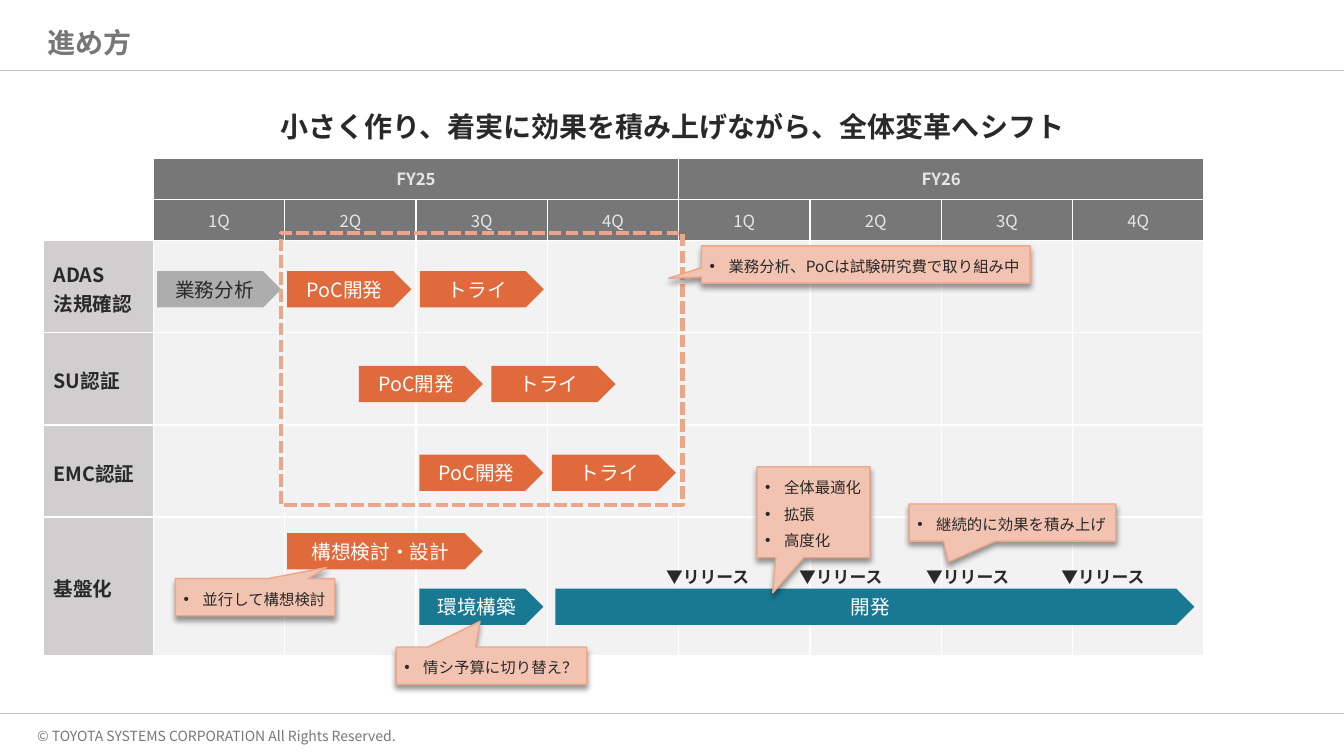
from lxml.etree import SubElement as Sub
from pptx import Presentation
from pptx.dml.color import RGBColor as Rgb
from pptx.enum.dml import MSO_LINE as Dash
from pptx.enum.shapes import MSO_CONNECTOR as Conn, MSO_SHAPE as Kind
from pptx.enum.text import MSO_ANCHOR as Anchor, MSO_AUTO_SIZE as Auto, PP_ALIGN as Align
from pptx.oxml.ns import qn
from pptx.util import Pt

FONT = "Noto Sans CJK JP"
INK = {
    "text": "292929", "gray": "777777", "rule": "BFBFBF", "white": "FFFFFF",
    "pale": "E7E6E6", "label": "D0CECE", "cell": "F2F2F2", "stone": "ADADAD",
    "orange": "E06A3B", "teal": "197993", "note": "F3C3B1", "edge": "ECA689",
    "shade": "000000",
}
WIDE, HIGH = 960, 540
BOARD = (31, 113, 829, 355)
HEAD, ROWS = 29.5, [29.5, 29.5, 65.8, 65.8, 65.8, 99.2]
SIDE, QUARTERS = 78.6, 8
LABELS = ["ADAS\v法規確認", "SU認証", "EMC認証", "基盤化"]
BAR = 88.6
BARS = [  # text, left, top, width, fill
    ("業務分析", 81.3, 80.7, BAR, "stone"),
    ("構想検討・設計", 174.2, 267.9, 139.7, "orange"),
    ("環境構築", 268.5, 307.5, BAR, "teal"),
    ("開発", 365.7, 307.5, 456.5, "teal"),
]
TRIALS = [(174.2, 80.7), (225.3, 148.4), (268.5, 211.7)]
RELEASES = [437.7, 532.8, 623.5, 720]
NOTES = [  # lines, left, top, width, height, tip
    (["並行して構想検討"], 94.3, 300.3, 113.8, 26.6, (0.45, -0.8)),
    (["全体最適化", "拡張", "高度化"], 509.7, 220.4, 80.6, 64.8, (-0.36, 0.89)),
    (["継続的に効果を積み上げ"], 618.4, 247, 147.6, 26.6, (-0.31, 1.06)),
    (["情シ予算に切り替え？"], 252, 349.2, 136.1, 26.6, (-0.06, -1.19)),
    (["業務分析、PoCは試験研究費で取り組み中"], 470.1, 62.7, 234.7, 26.6, (-0.6, 0.37)),
]


def rgb(name):
    return Rgb.from_string(INK[name])


def place(box):
    return [Pt(n) for n in box]


def style(para, size, color, bold=False):
    for run in para.runs:
        font = run.font
        font.size, font.bold, font.name = Pt(size), bold, FONT
        font.color.rgb = rgb(color)
        Sub(run._r.get_or_add_rPr(), qn("a:ea"), typeface=FONT)


def pad(item, left, top, right, bottom):
    item.margin_left, item.margin_top = Pt(left), Pt(top)
    item.margin_right, item.margin_bottom = Pt(right), Pt(bottom)


def write(slide, box, text, size, color, bold=False, wrap=False):
    """Add a text box and return its frame and paragraph."""
    frame = slide.shapes.add_textbox(*place(box)).text_frame
    frame.word_wrap = wrap
    para = frame.paragraphs[0]
    para.text = text
    style(para, size, color, bold)
    return frame, para


def shape(slide, kind, box, fill=None, edge=None, width=1):
    item = slide.shapes.add_shape(kind, *place(box))
    item.shadow.inherit = False
    if fill:
        item.fill.solid()
        item.fill.fore_color.rgb = rgb(fill)
    else:
        item.fill.background()
    if edge:
        item.line.color.rgb = rgb(edge)
        item.line.width = Pt(width)
    else:
        item.line.fill.background()
    return item


def frame_page(slide, box):
    """Draw the rules, title, lead and footer."""
    x, y, w, h = box
    for top in (50.4, 509.8):
        line = slide.shapes.add_connector(
            Conn.STRAIGHT, *place((x, y + top, x + w, y + top)))
        line.line.color.rgb = rgb("rule")
        line.line.width = Pt(1)
        Sub(line._element.spPr, qn("a:effectLst"))
    foot, _ = write(slide, (x + 26.6, y + 516.2, 287, 19.4),
                    "© TOYOTA SYSTEMS CORPORATION All Rights Reserved.", 10, "gray")
    pad(foot, 0, 3.6, 0, 3.6)
    title, para = write(slide, (x + 26.6, y + 16.6, 907, 29.5),
                        "進め方", 20, "gray", True, True)
    title.vertical_anchor = Anchor.MIDDLE
    para.line_spacing = 0.9
    _, para = write(slide, (x + 66.2, y + 67.7, 828, 60.5),
                    "小さく作り、着実に効果を積み上げながら、全体変革へシフト",
                    20, "text", True, True)
    para.alignment = Align.CENTER
    para.line_spacing = 1.3


def fill_cell(cell, text, fill, size=12, color="pale", bold=False, align=Align.CENTER):
    pad(cell, 7.2, 5.8, 7.2, 3.6)
    para = cell.text_frame.paragraphs[0]
    para.alignment = align
    if text:
        para.text = text
        style(para, size, color, bold)
    else:
        Sub(para._p, qn("a:endParaRPr"), sz="1200")
    if fill:
        cell.fill.solid()
        cell.fill.fore_color.rgb = rgb(fill)
    else:
        cell.fill.background()
    props = cell._tc.get_or_add_tcPr()
    for spot, side in enumerate(("lnL", "lnR", "lnT", "lnB")):
        line = Sub(props, qn("a:" + side), w="12700")
        Sub(Sub(line, qn("a:solidFill")), qn("a:srgbClr"), val=INK["white"])
        props.insert(spot, line)


def add_grid(slide, box):
    """Add the table of quarters by work stream."""
    table = slide.shapes.add_table(len(ROWS), QUARTERS + 1, *place(box)).table
    table.first_row = table.horz_banding = False
    for n, col in enumerate(table.columns):
        col.width = Pt((box[2] - SIDE) / QUARTERS if n else SIDE)
    for row, high in zip(table.rows, ROWS):
        row.height = Pt(high)
    for c in range(QUARTERS + 1):
        year = f"FY{25 + c // 5}" if c in (1, 5) else ""
        fill = "gray" if c else None
        fill_cell(table.cell(0, c), year, fill, bold=True)
        fill_cell(table.cell(1, c), f"{(c - 1) % 4 + 1}Q" if c else "", fill)
        for r, label in enumerate(LABELS, 2):
            cell = table.cell(r, c)
            if c:
                fill_cell(cell, "", "cell")
            else:
                fill_cell(cell, label, "label", 14, "text", True, Align.LEFT)
                cell.vertical_anchor = Anchor.MIDDLE
    for c in (1, 5):
        table.cell(0, c).merge(table.cell(0, c + 3))


def add_bar(slide, box, text, fill):
    item = shape(slide, Kind.PENTAGON, box, fill)
    frame = item.text_frame
    frame.vertical_anchor = Anchor.MIDDLE
    para = frame.paragraphs[0]
    para.text = text
    para.alignment = Align.CENTER
    style(para, 14, "text" if fill == "stone" else "white")


def add_note(slide, box, lines, tip):
    """Add a shadowed callout with bullets."""
    item = shape(slide, Kind.RECTANGULAR_CALLOUT, box, "note", "edge")
    item.adjustments[0], item.adjustments[1] = tip
    glow = Sub(item._element.spPr.find(qn("a:effectLst")), qn("a:outerShdw"),
               blurRad="50800", dist="38100", dir="5400000", algn="t", rotWithShape="0")
    tone = Sub(glow, qn("a:srgbClr"), val=INK["shade"])
    Sub(tone, qn("a:alpha"), val="40000")
    frame = item.text_frame
    frame.word_wrap = False
    frame.auto_size = Auto.SHAPE_TO_FIT_TEXT
    frame.vertical_anchor = Anchor.MIDDLE
    pad(frame, 5.8, 5.8, 5.8, 5.8)
    for n, text in enumerate(lines):
        para = frame.add_paragraph() if n else frame.paragraphs[0]
        para.text = text
        para.alignment = Align.LEFT
        para.line_spacing = 1.2
        para.space_before = Pt(3 if n else 0)
        props = para._p.get_or_add_pPr()
        props.set("marL", str(Pt(13.5)))
        props.set("indent", str(-Pt(13.5)))
        Sub(props, qn("a:buFont"), typeface="Arial")
        Sub(props, qn("a:buChar"), char="•")
        style(para, 11, "text")


def add_plan(slide, box):
    """Place the bars, releases and notes over the grid."""
    x, y = box[:2]
    trials = [(text, left + n * 94.7, top, BAR, "orange")
              for left, top in TRIALS for n, text in enumerate(("PoC開発", "トライ"))]
    for text, left, top, wide, fill in BARS + trials:
        add_bar(slide, (x + left, y + top, wide, 25.9), text, fill)
    zone = shape(slide, Kind.RECTANGLE, (x + 169.9, y + 53.3, 286.6, 194.4),
                 edge="edge", width=3)
    zone.line.dash_style = Dash.SQUARE_DOT
    for lines, left, top, wide, high, tip in NOTES:
        add_note(slide, (x + left, y + top, wide, high), lines, tip)
    for left in RELEASES:
        write(slide, (x + left, y + 288, 75, 21.6), "▼リリース", 12, "text", True)


def main():
    deck = Presentation()
    deck.slide_width, deck.slide_height = Pt(WIDE), Pt(HIGH)
    slide = deck.slides.add_slide(deck.slide_layouts[6])
    frame_page(slide, (0, 0, WIDE, HIGH))
    add_grid(slide, BOARD)
    add_plan(slide, BOARD)
    deck.save("out.pptx")


if __name__ == "__main__":
    main()
